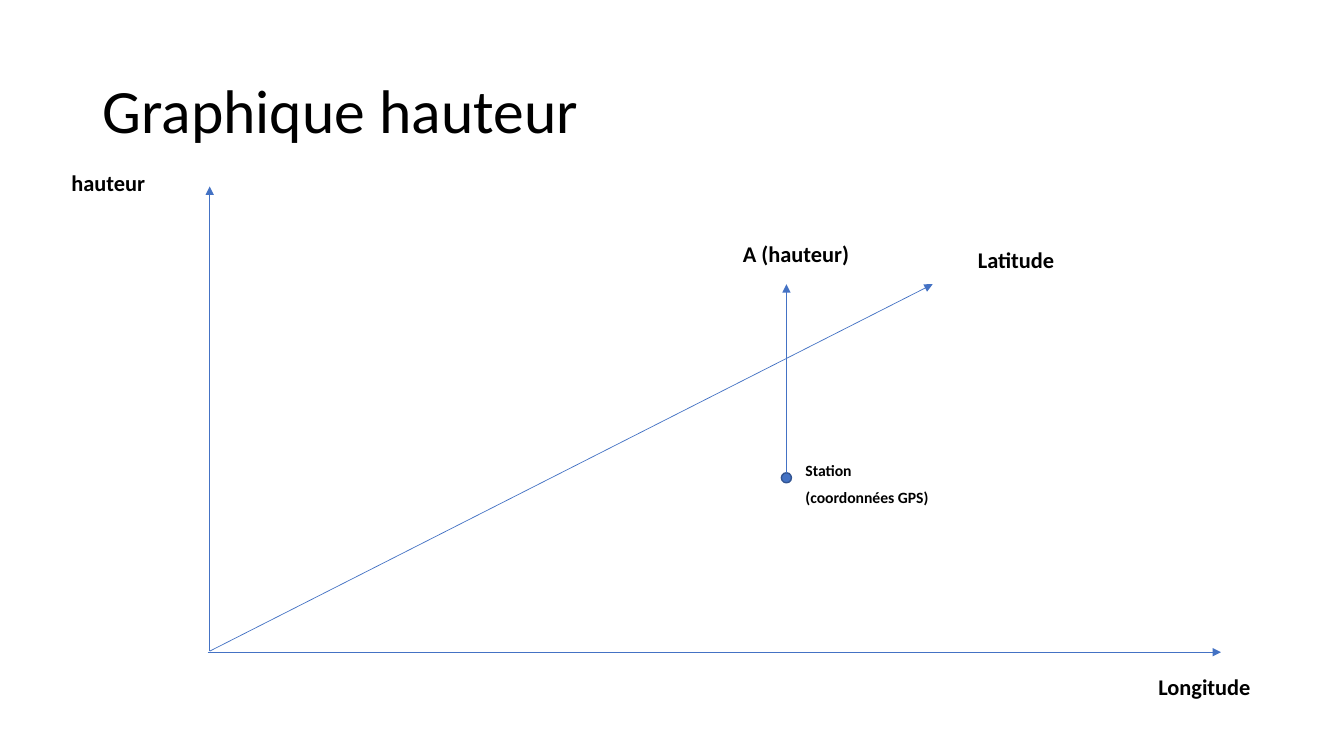
"""Build a slide with a height graph over longitude and latitude."""
from lxml import etree
from pptx import Presentation
from pptx import util as u
from pptx.dml.color import RGBColor
from pptx.enum import shapes, text
from pptx.oxml.ns import qn

BLUE = "4472C4"
BLACK = "000000"
FONT = "Calibri"


def color(value):
    """Turn a hex string into a colour."""
    return RGBColor.from_string(value)


def add_text(page, lines, left, top, width=1.45, height=0.57, size=16,
             bold=True, spacing=0.9, anchor=text.MSO_ANCHOR.TOP):
    """Add a text box with one paragraph for each line."""
    box = page.shapes.add_textbox(*map(u.Inches, (left, top, width, height)))
    frame = box.text_frame
    frame.word_wrap = True
    frame.vertical_anchor = anchor
    for index, line in enumerate(lines):
        para = frame.add_paragraph() if index else frame.paragraphs[0]
        para.line_spacing = spacing
        if index:
            para.space_before = u.Pt(10)
        span = para.add_run()
        span.text = line
        span.font.name = FONT
        span.font.size = u.Pt(size)
        span.font.bold = bold
        span.font.color.rgb = color(BLACK)


def add_arrow(page, start, end):
    """Add a thin straight arrow pointing at its end."""
    arrow = page.shapes.add_connector(
        shapes.MSO_CONNECTOR.STRAIGHT, *map(u.Inches, (*start, *end)))
    arrow.line.color.rgb = color(BLUE)
    arrow.line.width = u.Pt(0.5)
    etree.SubElement(arrow.line._get_or_add_ln(), qn("a:tailEnd"), type="triangle")
    etree.SubElement(arrow._element.spPr, qn("a:effectLst"))
    return arrow


def add_dot(page, left, top, size):
    """Add a small outlined dot."""
    dot = page.shapes.add_shape(
        shapes.MSO_SHAPE.OVAL, *map(u.Inches, (left, top, size, size)))
    dot.shadow.inherit = False
    dot.fill.solid()
    dot.fill.fore_color.rgb = color(BLUE)
    dot.line.color.rgb = color("325491")
    dot.line.width = u.Pt(1)
    return dot


def main():
    """Draw the axes, the station and their labels."""
    deck = Presentation()
    deck.slide_width, deck.slide_height = u.Inches(13.33), u.Inches(7.5)
    page = deck.slides.add_slide(deck.slide_layouts[6])

    add_text(page, ["Graphique hauteur"], 0.92, 0.4, 11.5, 1.45, size=44,
             bold=False, anchor=text.MSO_ANCHOR.MIDDLE)

    origin = (2.08, 6.46)
    add_arrow(page, (2.06, 6.47), (12.11, 6.47))
    add_arrow(page, origin, (2.08, 1.85))
    add_arrow(page, origin, (9.25, 2.82))

    station = add_dot(page, 7.75, 4.69, 0.1)
    height_arrow = add_arrow(page, (7.8, 4.69), (7.8, 2.82))
    height_arrow.begin_connect(station, 0)

    add_text(page, ["hauteur"], 0.61, 1.66)
    add_text(page, ["Latitude"], 9.6, 2.42)
    add_text(page, ["Longitude"], 11.39, 6.66)
    add_text(page, ["A (hauteur)"], 7.27, 2.36, width=2.5)
    add_text(page, ["Station", "(coordonnées GPS)"], 7.89, 4.57,
             size=11.2, spacing=0.7)

    deck.save("out.pptx")


if __name__ == "__main__":
    main()
